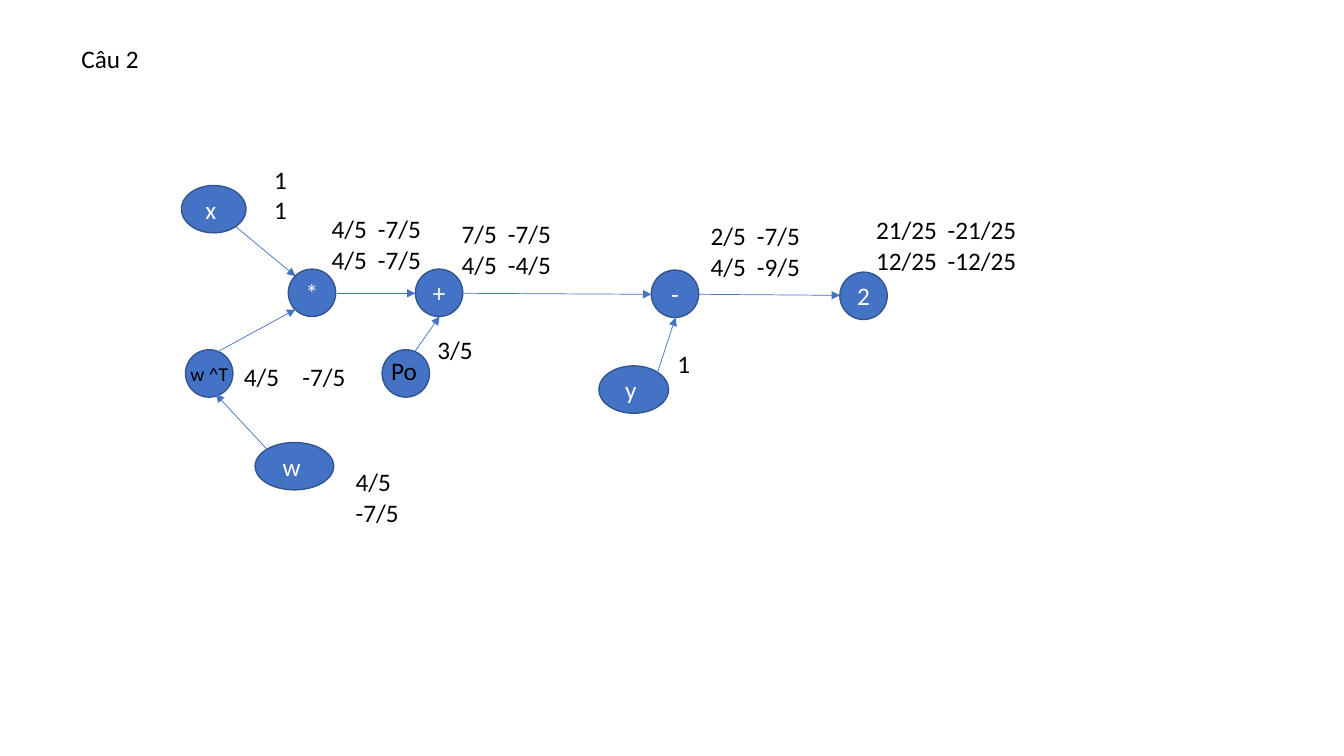
"""Draw the computation graph of question 2 with its values."""
import pptx
import pptx.util
import pptx.dml.color
import pptx.enum.shapes
import pptx.enum.text
import pptx.oxml.ns
from lxml import etree

Inches = pptx.util.Inches
Pt = pptx.util.Pt
RGBColor = pptx.dml.color.RGBColor
qn = pptx.oxml.ns.qn

BLUE = RGBColor(0x44, 0x72, 0xC4)
EDGE = RGBColor(0x32, 0x54, 0x91)
WHITE = RGBColor(0xFF, 0xFF, 0xFF)
BLACK = RGBColor(0, 0, 0)
SIZE = 0.47


def write(frame, text, size=18, font="Calibri", color=BLACK, align="LEFT", tab=None):
    for i, line in enumerate(text.split("\n")):
        para = frame.add_paragraph() if i else frame.paragraphs[0]
        para.alignment = getattr(pptx.enum.text.PP_ALIGN, align)
        run = para.add_run()
        run.text = line
        run.font.size = Pt(size)
        run.font.name = font
        run.font.color.rgb = color
        if tab:
            props = para._p.get_or_add_pPr()
            stops = etree.SubElement(props, qn("a:tabLst"))
            etree.SubElement(stops, qn("a:tab"), pos=str(Inches(tab)), algn="l")


class Graph:
    def __init__(self, slide):
        self.shapes = slide.shapes

    def node(self, x, y, text="", width=SIZE):
        oval = self.shapes.add_shape(
            pptx.enum.shapes.MSO_SHAPE.OVAL,
            Inches(x), Inches(y), Inches(width), Inches(SIZE))
        oval.shadow.inherit = False
        oval.fill.solid()
        oval.fill.fore_color.rgb = BLUE
        oval.line.color.rgb = EDGE
        oval.line.width = Pt(1)
        if text:
            oval.text_frame.vertical_anchor = pptx.enum.text.MSO_ANCHOR.MIDDLE
            write(oval.text_frame, text, color=WHITE, align="CENTER")

    def arrow(self, x1, y1, x2, y2):
        link = self.shapes.add_connector(
            pptx.enum.shapes.MSO_CONNECTOR.STRAIGHT,
            Inches(x1), Inches(y1), Inches(x2), Inches(y2))
        link.line.color.rgb = BLUE
        link.line.width = Pt(0.5)
        props = link._element.spPr
        etree.SubElement(props.find(qn("a:ln")), qn("a:tailEnd"), type="triangle")
        etree.SubElement(props, qn("a:effectLst"))

    def label(self, x, y, width, text, tab=None, size=18):
        height = 0.71 if "\n" in text else 0.4
        box = self.shapes.add_textbox(
            Inches(x), Inches(y), Inches(width), Inches(height))
        box.text_frame.word_wrap = True
        box.text_frame.margin_right = 0
        write(box.text_frame, text, size=size, tab=tab)


def main():
    deck = pptx.Presentation()
    deck.slide_width = Inches(13.33)
    deck.slide_height = Inches(7.5)
    graph = Graph(deck.slides.add_slide(deck.slide_layouts[6]))

    for node in [
        (2.86, 2.67, "*"),
        (1.84, 3.47),
        (2.53, 4.39, "w ", 0.78),
        (1.8, 1.84, "x ", 0.64),
        (4.12, 2.67, "+"),
        (3.79, 3.47),
        (6.46, 2.68, "-"),
        (8.33, 2.7, "2"),
        (5.94, 3.63, "y ", 0.69),
    ]:
        graph.node(*node)

    graph.label(1.79, 3.54, 0.6, "w ^T", size=14)
    graph.label(3.78, 3.48, 0.69, "Po")

    for ends in [
        (2.34, 2.25, 2.93, 2.74),
        (2.65, 4.46, 2.14, 3.91),
        (2.14, 3.5, 2.93, 3.07),
        (3.34, 2.91, 4.12, 2.91),
        (4.12, 3.48, 4.36, 3.14),
        (4.59, 2.91, 6.46, 2.92),
        (6.52, 3.7, 6.7, 3.15),
        (6.93, 2.92, 8.33, 2.93),
    ]:
        graph.arrow(*ends)

    for label in [
        (2.62, 1.58, 0.33, "1\n1"),
        (3.43, 4.58, 0.63, "4/5\n-7/5"),
        (2.32, 3.54, 1.22, "4/5\t-7/5", 0.58),
        (3.19, 2.07, 1.1, "4/5\t-7/5\n4/5\t-7/5", 0.46),
        (4.24, 3.27, 0.56, "3/5"),
        (6.62, 3.41, 0.33, "1"),
        (4.48, 2.12, 1.1, "7/5\t-7/5\n4/5\t-4/5", 0.46),
        (6.95, 2.14, 1.1, "2/5\t-7/5\n4/5\t-9/5", 0.46),
        (8.59, 2.08, 1.62, "21/25\t-21/25\n12/25\t-12/25", 0.71),
        (0.71, 0.38, 0.78, "Câu 2"),
    ]:
        graph.label(*label)

    deck.save("out.pptx")


if __name__ == "__main__":
    main()
